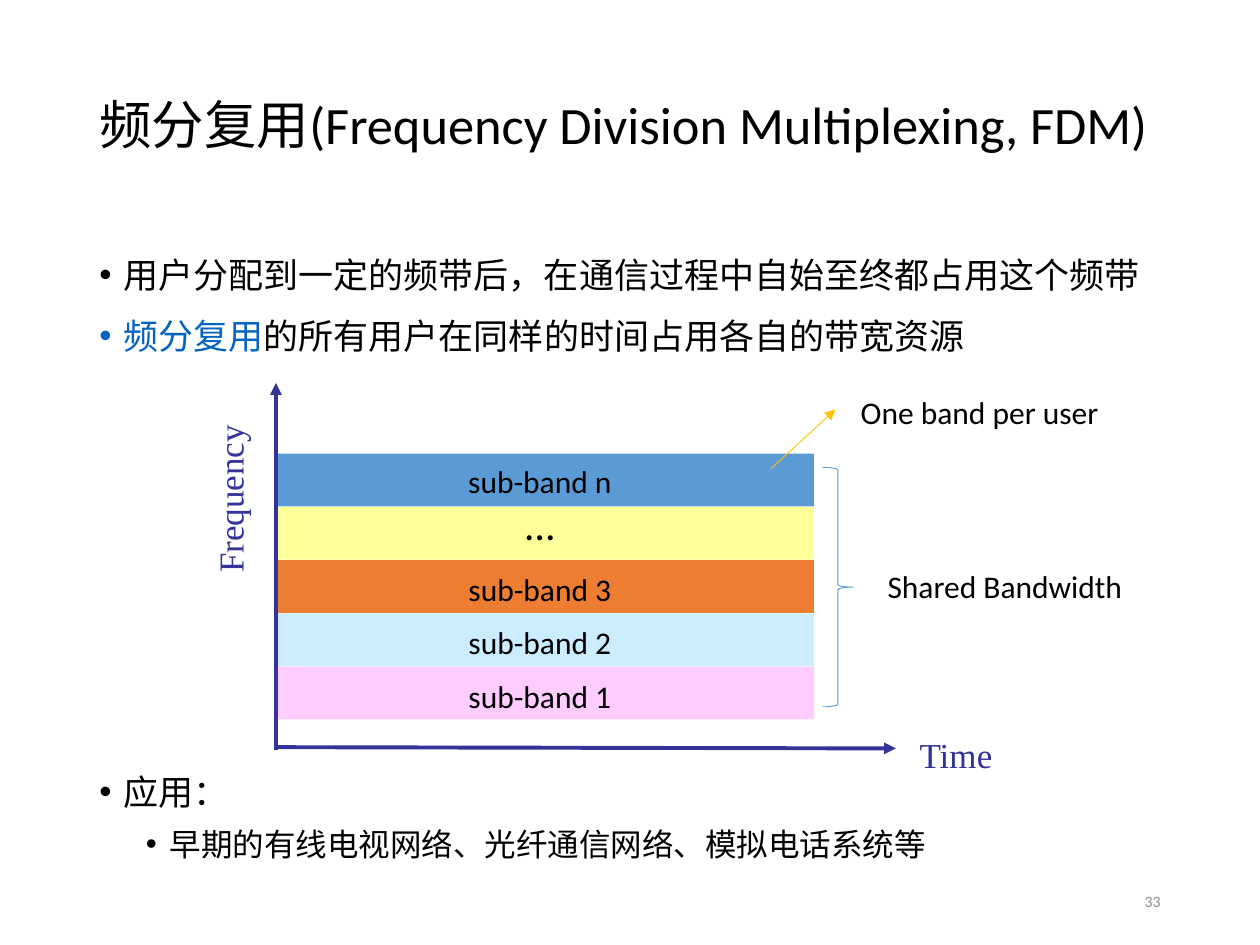
from lxml import etree
from pptx import Presentation
from pptx.dml.color import RGBColor
from pptx.enum.shapes import MSO_CONNECTOR, MSO_SHAPE
from pptx.enum.text import MSO_ANCHOR, PP_ALIGN
from pptx.oxml.ns import qn
from pptx.util import Inches, Pt

LEFT, CENTER, RIGHT = PP_ALIGN.LEFT, PP_ALIGN.CENTER, PP_ALIGN.RIGHT
TOP, MIDDLE = MSO_ANCHOR.TOP, MSO_ANCHOR.MIDDLE
RECT, BRACE = MSO_SHAPE.RECTANGLE, MSO_SHAPE.RIGHT_BRACE
STRAIGHT = MSO_CONNECTOR.STRAIGHT

COLORS = {
    "black": "000000", "link": "0563C1", "axis": "333399", "gray": "8C8C8C",
    "blue": "5B9BD5", "yellow": "FFFF99", "orange": "ED7D31",
    "sky": "CCECFF", "pink": "FFCCFF", "gold": "FFC000",
}
SANS, SERIF = "Calibri", "Times New Roman"

TITLE = "频分复用(Frequency Division Multiplexing, FDM)"
BULLET_BOXES = [
    ((0.69, 1.92, 8.62, 1.23), [
        (0, [("用户分配到一定的频带后，在通信过程中自始至终都占用这个频带", "black")]),
        (0, [("频分复用", "link"), ("的所有用户在同样的时间占用各自的带宽资源", "black")]),
    ]),
    ((0.69, 6.02, 8.62, 1.01), [
        (0, [("应用：", "black")]),
        (1, [("早期的有线电视网络、光纤通信网络、模拟电话系统等", "black")]),
    ]),
]
LEVELS = [
    {"size": 20, "indent": 0.19, "before": 7.5},
    {"size": 18, "indent": 0.56, "before": 3.8},
]
BANDS = [
    ("sub-band n", "blue"), ("…", "yellow"), ("sub-band 3", "orange"),
    ("sub-band 2", "sky"), ("sub-band 1", "pink"),
]
BAND_LEFT, BAND_TOP, BAND_WIDTH, BAND_HEIGHT = 2.19, 3.6, 4.27, 0.42
BAND_PITCH, LABEL_PITCH = 0.4225, 0.4275
LABEL_LEFT, LABEL_TOP, LABEL_WIDTH, LABEL_HEIGHT = 3.61, 3.65, 1.35, 0.37
ARROWS = [
    ((2.19, 5.93), (7.11, 5.94), "axis", 2.25),
    ((2.19, 5.95), (2.19, 3.04), "axis", 2.25),
    ((6.12, 3.72), (6.63, 3.25), "gold", 0.5),
]
AXIS_STYLE = {"size": 20, "font": SERIF, "color": "axis", "spacing": 0.9, "wrap": False}
NOTE_STYLE = {"size": 18, "align": CENTER}
TEXTS = [
    (TITLE, (0.69, 0.4, 8.99, 1.23), {"size": 30, "spacing": 0.9, "anchor": MIDDLE}),
    ("Frequency", (1.15, 3.75, 1.39, 0.4), {**AXIS_STYLE, "rotation": 270}),
    ("Time", (7.2, 5.81, 0.78, 0.4), AXIS_STYLE),
    ("Shared Bandwidth", (6.93, 4.45, 2.09, 0.4), NOTE_STYLE),
    ("One band per user", (6.63, 3.07, 2.29, 0.4), NOTE_STYLE),
    ("33", (7.06, 6.95, 2.25, 0.4),
     {"size": 9, "color": "gray", "align": RIGHT, "anchor": MIDDLE}),
]


def rgb(name):
    return RGBColor.from_string(COLORS[name])


def add_box(slide, at, wrap=True, anchor=TOP):
    s = slide.shapes.add_textbox(*map(Inches, at))
    s.text_frame.word_wrap = wrap
    s.text_frame.vertical_anchor = anchor
    return s


def add_run(p, text, size, color, font=SANS):
    r = p.add_run()
    r.text = text
    for name, value in {"size": Pt(size), "name": font}.items():
        setattr(r.font, name, value)
    r.font.color.rgb = rgb(color)


def add_text(slide, text, at, size, font=SANS, color="black", align=LEFT,
             spacing=1.0, wrap=True, anchor=TOP, rotation=0):
    s = add_box(slide, at, wrap, anchor)
    s.rotation = rotation
    p = s.text_frame.paragraphs[0]
    p.alignment, p.line_spacing = align, spacing
    add_run(p, text, size, color, font)


def add_bullets(slide, at, items):
    tf = add_box(slide, at).text_frame
    for i, (level, runs) in enumerate(items):
        p = tf.paragraphs[0] if i == 0 else tf.add_paragraph()
        style = LEVELS[level]
        p.level, p.line_spacing = level, 1.14
        p.space_before = Pt(style["before"] if i else 0)
        pPr = p._p.get_or_add_pPr()
        pPr.set("marL", str(Inches(style["indent"])))
        pPr.set("indent", str(-Inches(0.19)))
        etree.SubElement(pPr, qn("a:buFont"), typeface="Arial")
        etree.SubElement(pPr, qn("a:buChar"), char="•")
        for text, color in runs:
            add_run(p, text, style["size"], color)


def add_shape(slide, kind, at):
    s = slide.shapes.add_shape(kind, *map(Inches, at))
    s.shadow.inherit = False
    return s


def add_arrow(slide, start, end, color, width):
    s = slide.shapes.add_connector(STRAIGHT, *map(Inches, start + end))
    s.line.color.rgb = rgb(color)
    s.line.width = Pt(width)
    etree.SubElement(s.line._get_or_add_ln(), qn("a:tailEnd"), type="triangle")
    etree.SubElement(s._element.spPr, qn("a:effectLst"))


def add_bands(slide):
    for i, (_, color) in enumerate(BANDS):
        top = BAND_TOP + i * BAND_PITCH
        s = add_shape(slide, RECT, (BAND_LEFT, top, BAND_WIDTH, BAND_HEIGHT))
        s.fill.solid()
        s.fill.fore_color.rgb = rgb(color)
        s.line.fill.background()
    for i, (label, _) in enumerate(BANDS):
        top = LABEL_TOP + i * LABEL_PITCH
        size, height = LABEL_HEIGHT and (18, LABEL_HEIGHT)
        if label == "…":
            top, size, height = 3.95, 24, 0.46
        add_text(slide, label, (LABEL_LEFT, top, LABEL_WIDTH, height), size,
                 align=CENTER, spacing=0.9)


def main():
    prs = Presentation()
    prs.slide_width, prs.slide_height = Inches(10), Inches(7.5)
    slide = prs.slides.add_slide(prs.slide_layouts[6])
    add_bands(slide)
    for arrow in ARROWS:
        add_arrow(slide, *arrow)
    brace = add_shape(slide, BRACE, (6.53, 3.71, 0.24, 1.9))
    brace.fill.background()
    brace.line.color.rgb = rgb("blue")
    brace.line.width = Pt(0.5)
    for text, at, style in TEXTS:
        add_text(slide, text, at, **style)
    for at, items in BULLET_BOXES:
        add_bullets(slide, at, items)
    prs.save("out.pptx")


if __name__ == "__main__":
    main()
